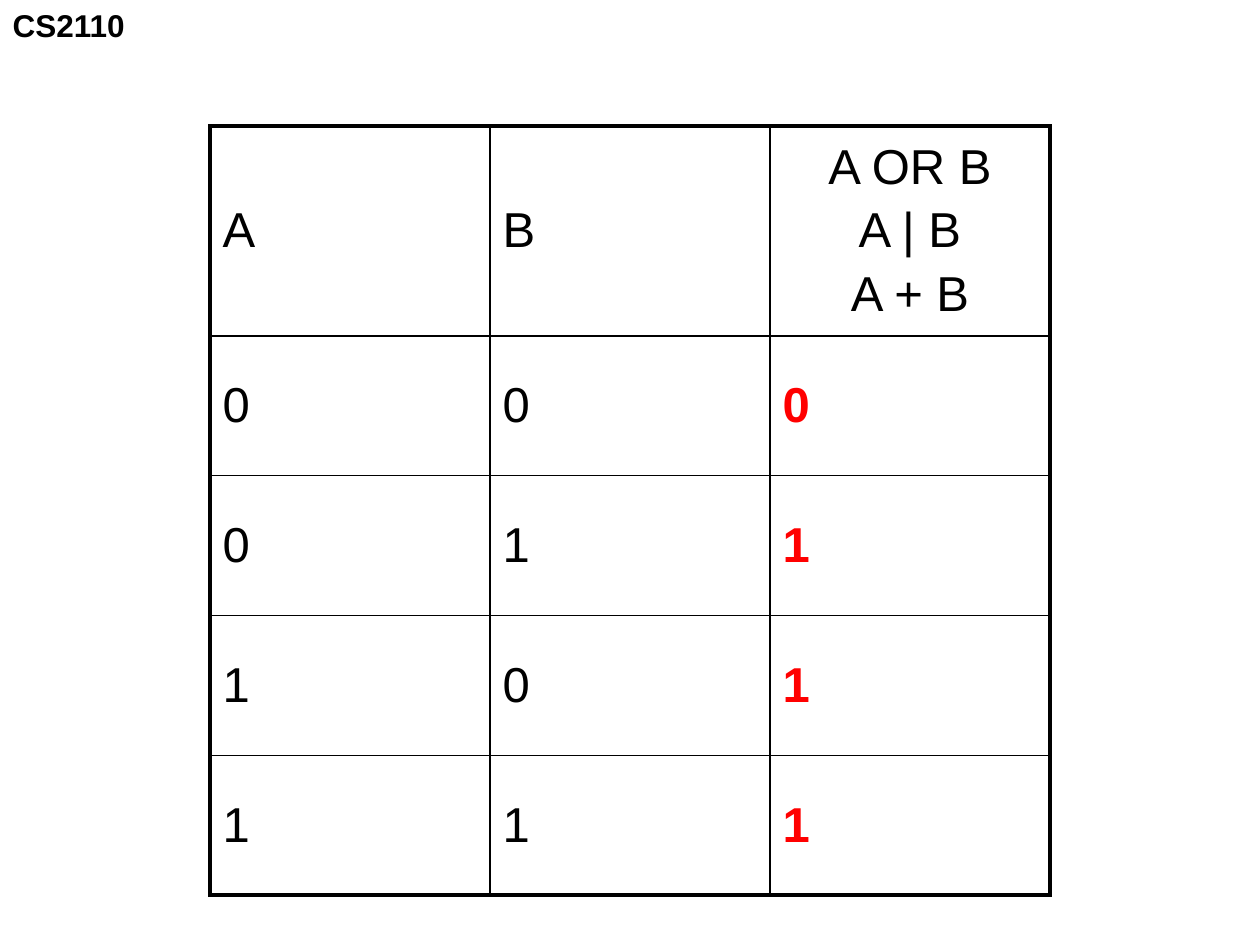
from dataclasses import dataclass

from lxml import etree
from pptx import Presentation
from pptx.dml.color import RGBColor
from pptx.enum.text import MSO_ANCHOR, MSO_AUTO_SIZE, PP_ALIGN
from pptx.oxml.ns import qn
from pptx.util import Inches, Pt

LEFT, CENTER = PP_ALIGN.LEFT, PP_ALIGN.CENTER
MIDDLE = MSO_ANCHOR.MIDDLE
NO_AUTOFIT = MSO_AUTO_SIZE.NONE
BLACK, RED = "000000", "FF0000"
TITLE_ONLY = 5
PAGE_WIDTH, PAGE_HEIGHT = Inches(10), Inches(7.5)
COLUMN = PAGE_WIDTH * 2 // 9
ROW = Inches(1.11)
HEADER_ROWS = 1.5
THIN, THICK = 1, 2.25


@dataclass
class TruthRow:
    a: str
    b: str
    result: str


HEADER = TruthRow("A", "B", "A OR B\nA | B\nA + B")
RESULTS = [TruthRow(str(a), str(b), str(a | b)) for a in (0, 1) for b in (0, 1)]


def write(frame, text: str, size: float = 28, color: str = BLACK,
          bold: bool = False, align=LEFT, gap: float = 0) -> None:
    frame.text = text
    for index, para in enumerate(frame.paragraphs):
        para.alignment = align
        para.space_before = Pt(gap if index else 0)
        for span in para.runs:
            span.font.name = "Arial"
            span.font.size = Pt(size)
            span.font.bold = bold
            span.font.color.rgb = RGBColor.from_string(color)


def draw_borders(cell, widths: dict[str, float]) -> None:
    properties = cell._tc.get_or_add_tcPr()
    for side, width in widths.items():
        line = etree.SubElement(properties, qn(f"a:ln{side}"), w=str(Pt(width)))
        fill = etree.SubElement(line, qn("a:solidFill"))
        etree.SubElement(fill, qn("a:srgbClr"), val=BLACK)


def draw_truth_table(page, rows: list[TruthRow]) -> None:
    height = int(ROW * (HEADER_ROWS + len(rows) - 1))
    table = page.shapes.add_table(
        len(rows), 3, PAGE_WIDTH // 6, PAGE_HEIGHT * 2 // 15, COLUMN * 3, height
    ).table
    table.first_row = table.horz_banding = False
    for column in table.columns:
        column.width = COLUMN
    last = len(rows) - 1
    for r, row in enumerate(rows):
        table.rows[r].height = int(ROW * HEADER_ROWS) if r == 0 else ROW
        for c, text in enumerate((row.a, row.b, row.result)):
            cell = table.cell(r, c)
            cell.vertical_anchor = MIDDLE
            is_result = c == 2 and r > 0
            write(cell.text_frame, text, color=RED if is_result else BLACK,
                  bold=is_result, align=CENTER if c == 2 and r == 0 else LEFT, gap=5)
            draw_borders(cell, {
                "L": THICK if c == 0 else THIN,
                "R": THICK if c == 2 else THIN,
                "T": THICK if r == 0 else THIN,
                "B": THICK if r == last else THIN,
            })
            cell.fill.background()


def draw_title(page, text: str) -> None:
    box = page.shapes.title
    box.left, box.top = 0, 0
    box.width, box.height = Inches(1.1), Inches(0.4)
    frame = box.text_frame
    frame.auto_size = NO_AUTOFIT
    frame.word_wrap = False
    frame.vertical_anchor = MIDDLE
    write(frame, text, size=18, bold=True)


def main() -> None:
    deck = Presentation()
    deck.slide_width, deck.slide_height = PAGE_WIDTH, PAGE_HEIGHT
    page = deck.slides.add_slide(deck.slide_layouts[TITLE_ONLY])
    draw_title(page, "CS2110")
    draw_truth_table(page, [HEADER, *RESULTS])
    deck.save("out.pptx")


if __name__ == "__main__":
    main()
